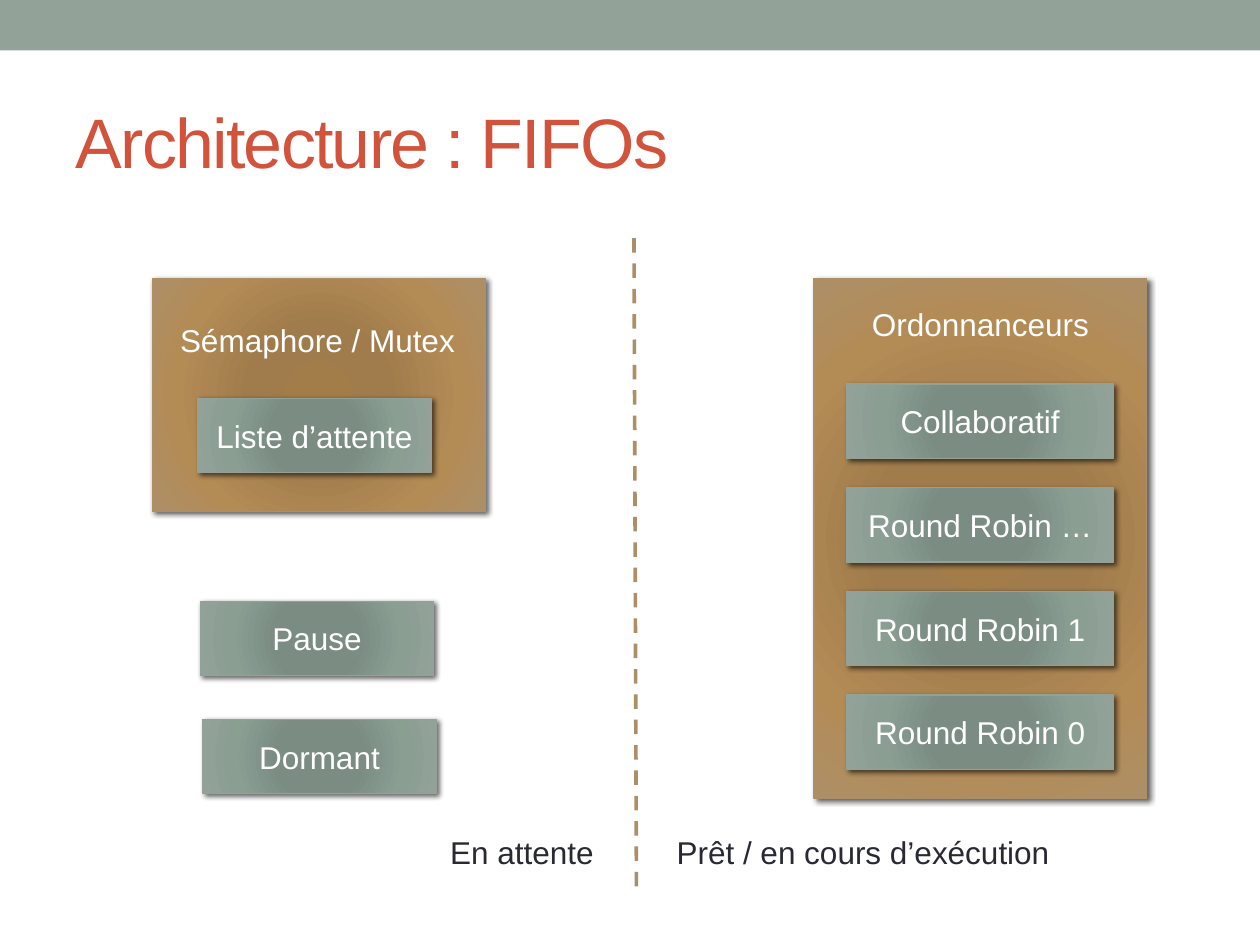
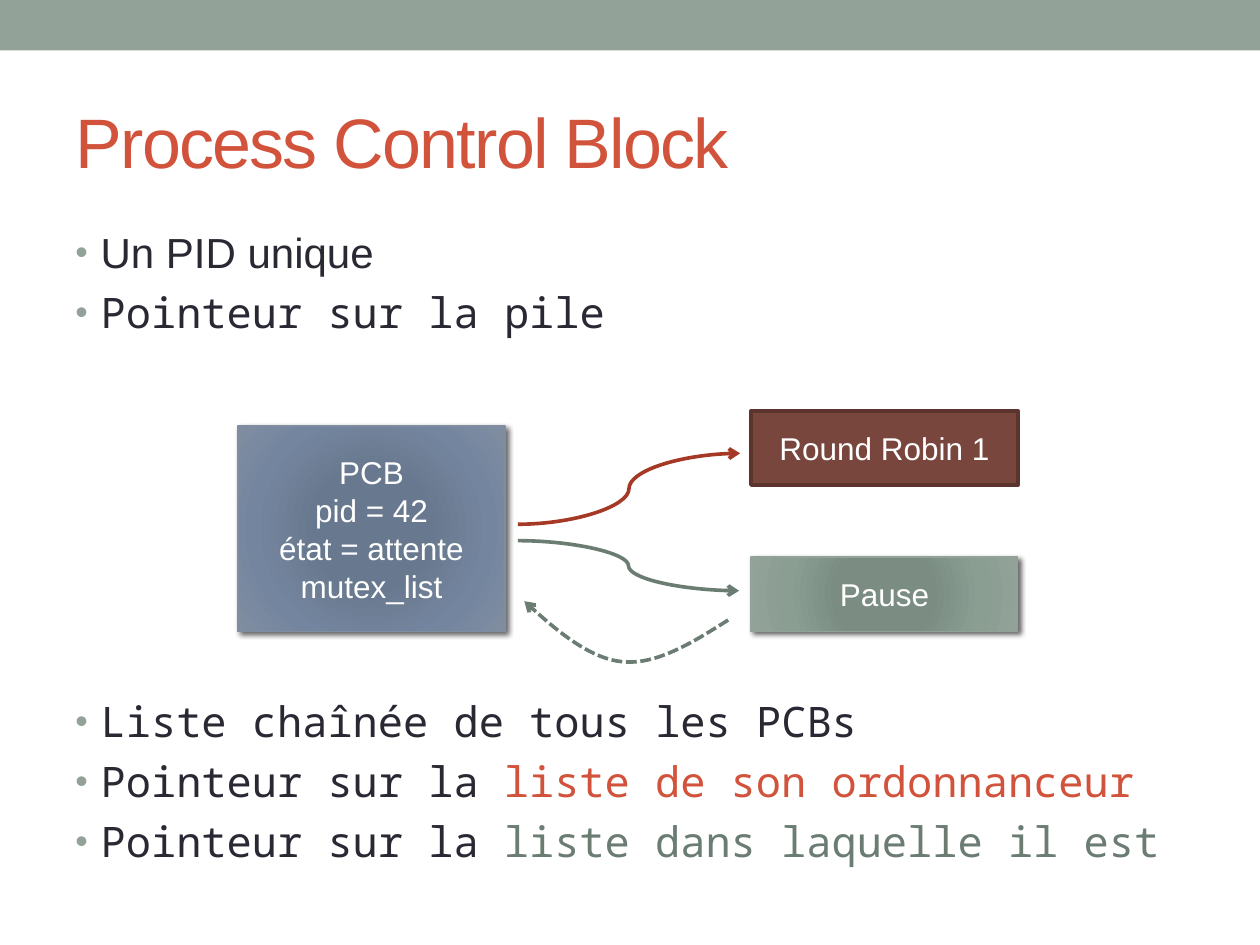
from lxml.etree import SubElement
from pptx import Presentation
from pptx.dml.color import RGBColor
from pptx.enum.dml import MSO_LINE
from pptx.enum.shapes import MSO_CONNECTOR, MSO_SHAPE
from pptx.enum.text import MSO_ANCHOR, PP_ALIGN
from pptx.oxml.ns import qn
from pptx.util import Cm, Pt

COLORS = {
    "band": "93A299", "title": "D2533C", "text": "292934", "white": "FFFFFF",
    "divider": "AD8F67", "sage": "6B7D72", "rust": "A53926",
    "brick": "79463D", "brick_edge": "5A342D",
}
GRADIENTS = {
    "tan": ["A37D49", "A07C4C", "B38B55", "AD8F67"],
    "green": ["7B8E82", "7B8D83", "8A9E92", "93A299"],
    "blue": ["677790", "68788E", "74869F", "808DA0"],
}
STOPS = [0, 34, 70, 100]
SANS, MONO = "Arial", "Noto Sans Mono"
TILE_W, TILE_H = 5.38, 1.5
QUEUE_W = 4.7


def rgb(name):
    return RGBColor.from_string(COLORS.get(name, name))


def xml_child(parent, tag, **attrs):
    return SubElement(parent, qn(tag), {k: str(v) for k, v in attrs.items()})


def add_run(p, text, size=18, color="white", font=SANS, spacing=None):
    r = p.add_run()
    r.text = text
    r.font.size = Pt(size)
    r.font.name = font
    r.font.color.rgb = rgb(color)
    if spacing is not None:
        r.font._element.set("spc", str(spacing))


def add_lines(tf, lines, align=PP_ALIGN.CENTER, **fmt):
    for i, line in enumerate(lines):
        p = tf.paragraphs[0] if i == 0 else tf.add_paragraph()
        p.alignment = align
        add_run(p, line, **fmt)


def add_box(s, x, y, w, h, fill, edge, width, lines=()):
    sp = s.shapes.add_shape(MSO_SHAPE.RECTANGLE, Cm(x), Cm(y), Cm(w), Cm(h))
    sp.shadow.inherit = False
    sp.fill.solid()
    sp.fill.fore_color.rgb = rgb(fill)
    sp.line.color.rgb = rgb(edge)
    sp.line.width = Pt(width)
    sp.text_frame.vertical_anchor = MSO_ANCHOR.MIDDLE
    add_lines(sp.text_frame, lines)
    return sp


def add_glow_box(s, x, y, w, h, gradient, *lines):
    colors = GRADIENTS[gradient]
    sp = add_box(s, x, y, w, h, colors[-1], colors[-1], 0.75, lines)
    sp.fill.gradient()
    grad = sp.element.spPr.find(qn("a:gradFill"))
    for child in list(grad):
        grad.remove(child)
    stops = xml_child(grad, "a:gsLst")
    for pos, color in zip(STOPS, colors):
        xml_child(xml_child(stops, "a:gs", pos=pos * 1000), "a:srgbClr", val=color)
    radial = xml_child(grad, "a:path", path="circle")
    xml_child(radial, "a:fillToRect", **dict.fromkeys("ltrb", 100000))
    effects = sp.element.spPr.find(qn("a:effectLst"))
    shadow = xml_child(effects, "a:outerShdw", blurRad=Pt(3), dist=Pt(2),
                       dir=45 * 60000, algn="tl", rotWithShape=0)
    xml_child(xml_child(shadow, "a:srgbClr", val="000000"), "a:alpha", val=60000)
    return sp


def add_label(s, text, x, y, w, align=PP_ALIGN.CENTER, **fmt):
    tf = s.shapes.add_textbox(Cm(x), Cm(y), Cm(w), Cm(1.02)).text_frame
    tf.word_wrap = False
    add_lines(tf, [text], align, **fmt)


def style_line(line, color, dash=None, arrow=False):
    line.color.rgb = rgb(color)
    line.width = Pt(2.08)
    if dash:
        line.dash_style = dash
    if arrow:
        xml_child(line._get_or_add_ln(), "a:tailEnd", type="arrow")


def add_link(s, kind, start, end, color, **style):
    cx = s.shapes.add_connector(kind, *map(Cm, start + end))
    xml_child(cx.element.spPr, "a:effectLst")
    style_line(cx.line, color, **style)


def add_bezier(s, points, color, **style):
    points = [(Cm(x), Cm(y)) for x, y in points]
    builder = s.shapes.build_freeform(*points[0])
    builder.add_line_segments(points[1:], close=False)
    sp = builder.convert_to_shape()
    sp.shadow.inherit = False
    sp.fill.background()
    segments = list(sp.element.iter(qn("a:lnTo")))
    outline = segments[0].getparent()
    for i in range(0, len(segments), 3):
        curve = xml_child(outline, "a:cubicBezTo")
        for segment in segments[i:i + 3]:
            curve.append(segment[0])
            outline.remove(segment)
    style_line(sp.line, color, **style)


def add_bullets(s, y, h, items):
    tf = s.shapes.add_textbox(Cm(1.27), Cm(y), Cm(22.86), Cm(h)).text_frame
    tf.word_wrap = True
    for i, runs in enumerate(items):
        p = tf.paragraphs[0] if i == 0 else tf.add_paragraph()
        p.space_before = Pt(5.5)
        pPr = p._p.get_or_add_pPr()
        pPr.set("marL", str(Cm(0.51)))
        pPr.set("indent", str(-Cm(0.51)))
        xml_child(xml_child(pPr, "a:buClr"), "a:srgbClr", val=COLORS["band"])
        xml_child(pPr, "a:buSzPct", val=85000)
        xml_child(pPr, "a:buFont", typeface=SANS)
        xml_child(pPr, "a:buChar", char="•")
        for text, color, font in runs:
            add_run(p, text, size=24, color=color, font=font)


def add_slide(prs, title):
    s = prs.slides.add_slide(prs.slide_layouts[5])
    sp = s.shapes.title
    sp.left, sp.top, sp.width, sp.height = Cm(1.27), Cm(1.47), Cm(22.86), Cm(2.74)
    sp.text_frame.vertical_anchor = MSO_ANCHOR.MIDDLE
    add_lines(sp.text_frame, [title], PP_ALIGN.LEFT,
              size=40, color="title", spacing=-100)
    return s


def add_layout_band(prs, s):
    band = add_box(s, 0, 0, 25.4, 1.02, "band", "band", 0.75)
    band.line.fill.background()
    prs.slide_layouts[5].shapes.element.insert(2, band.element)


def build_fifos(s):
    add_glow_box(s, 3.07, 5.61, 6.71, 4.7, "tan")
    add_label(s, "Sémaphore / Mutex", 3.35, 6.35, 6.1)
    queues = [("Liste d’attente", 3.99, 8.03), ("Pause", 4.04, 12.12),
              ("Dormant", 4.09, 14.5)]
    for name, x, y in queues:
        add_glow_box(s, x, y, QUEUE_W, TILE_H, "green", name)

    add_glow_box(s, 16.41, 5.61, 6.71, 10.49, "tan")
    add_label(s, "Ordonnanceurs", 17.3, 6.02, 4.93)
    schedulers = ["Collaboratif", "Round Robin …", "Round Robin 1", "Round Robin 0"]
    for i, name in enumerate(schedulers):
        add_glow_box(s, 17.07, 7.74 + 2.09 * i, TILE_W, TILE_H, "green", name)

    add_link(s, MSO_CONNECTOR.STRAIGHT, (12.78, 4.8), (12.83, 17.98), "divider",
             dash=MSO_LINE.DASH)
    add_label(s, "En attente", 8.79, 16.66, 3.43, PP_ALIGN.RIGHT, color="text")
    add_label(s, "Prêt / en cours d’exécution", 13.39, 16.66, 8.1,
              PP_ALIGN.LEFT, color="text")


def build_pcb(s):
    add_bullets(s, 4.45, 2.6, [
        [("Un PID unique", "text", SANS)],
        [("Pointeur sur la pile", "text", MONO)],
    ])
    add_bullets(s, 13.9, 3.8, [
        [("Liste chaînée de tous les PCBs", "text", MONO)],
        [("Pointeur sur la ", "text", MONO),
         ("liste de son ordonnanceur", "title", MONO)],
        [("Pointeur sur la ", "text", MONO),
         ("liste dans laquelle il est", "sage", MONO)],
    ])
    add_box(s, 15.14, 8.28, TILE_W, TILE_H, "brick", "brick_edge", 2.08,
            ["Round Robin 1"])
    add_glow_box(s, 15.14, 11.23, TILE_W, TILE_H, "green", "Pause")
    add_glow_box(s, 4.8, 8.59, TILE_W, 4.14, "blue",
                 "PCB", "pid = 42", "état = attente", "mutex_list")
    add_link(s, MSO_CONNECTOR.CURVE, (10.44, 10.57), (14.92, 9.14), "rust", arrow=True)
    add_link(s, MSO_CONNECTOR.CURVE, (10.44, 10.9), (14.9, 11.91), "sage", arrow=True)
    add_bezier(s, [(14.68, 12.5), (13.97, 12.95), (13.23, 13.41), (12.55, 13.34),
                   (11.86, 13.28), (10.87, 12.4), (10.57, 12.12)],
               "sage", dash=MSO_LINE.SQUARE_DOT, arrow=True)


def main():
    prs = Presentation()
    prs.slide_width, prs.slide_height = Cm(25.4), Cm(19.05)
    fifos = add_slide(prs, "Architecture : FIFOs")
    add_layout_band(prs, fifos)
    build_fifos(fifos)
    build_pcb(add_slide(prs, "Process Control Block"))
    prs.save("out.pptx")


if __name__ == "__main__":
    main()
